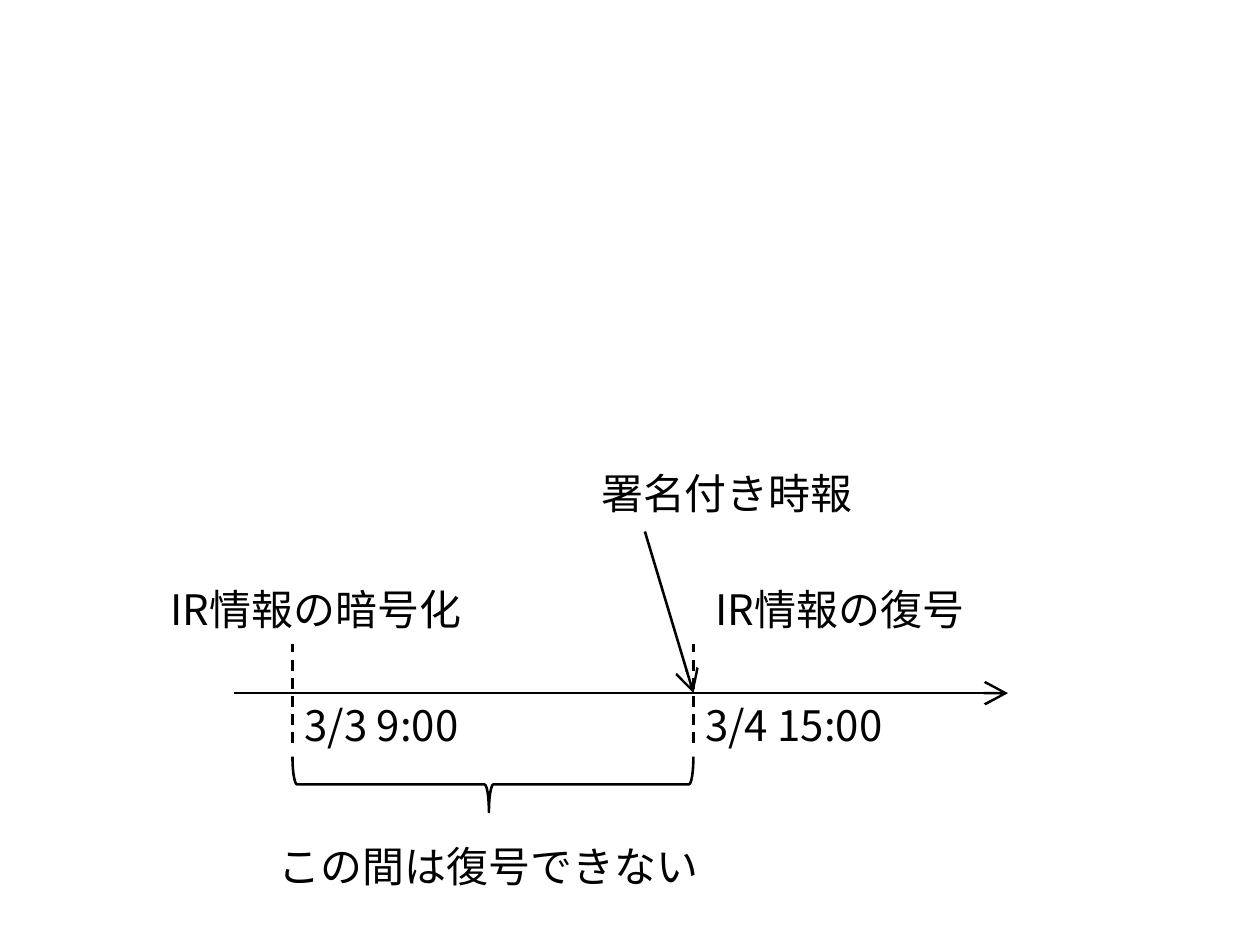
"""Draw a timeline from the encryption to the decryption of IR data."""
from typing import NamedTuple

from lxml.etree import SubElement as Sub
from pptx import Presentation
from pptx.dml.color import RGBColor as Rgb
from pptx.enum.dml import MSO_LINE as Dash
from pptx.enum.shapes import MSO_CONNECTOR as Link, MSO_SHAPE as Kind
from pptx.enum.text import MSO_AUTO_SIZE as Fit
from pptx.oxml.ns import qn
from pptx.util import Cm, Pt

COLORS = {"ink": "000000", "page": "FFFFFF"}
FACE = "Noto Sans CJK JP"
INK = Rgb.from_string(COLORS["ink"])
FRAME = {
    "word_wrap": True, "auto_size": Fit.SHAPE_TO_FIT_TEXT,
    "margin_left": Cm(0.12), "margin_right": Cm(0.12),
    "margin_top": Cm(0.07), "margin_bottom": Cm(0.07),
}
FONT = {"name": FACE, "size": Pt(12)}

START, END, AXIS = 2.95, 6.99, 6.99
HALF = 0.5
DEEP = 0.56
MID = 7.91


class Label(NamedTuple):
    text: str
    left: float
    top: float
    width: float


class Stroke(NamedTuple):
    x1: float
    y1: float
    x2: float
    y2: float
    dashed: bool = False


LABELS = [
    Label("3/3 9:00", START, AXIS, 2.29),
    Label("3/4 15:00", END, AXIS, 2.59),
    Label("IR情報の暗号化", 1.6, 5.82, 3.23),
    Label("IR情報の復号", 7.09, 5.82, 2.79),
    Label("この間は復号できない", 2.69, 8.41, 4.52),
    Label("署名付き時報", 5.94, 4.65, 2.82),
]
STROKES = [
    Stroke(2.36, AXIS, 10.16, AXIS),
    *(Stroke(x, AXIS + HALF, x, AXIS - HALF, True) for x in (START, END)),
    Stroke(6.5, 5.36, END, AXIS),
]


def style(item: object, values: dict) -> None:
    for key, value in values.items():
        setattr(item, key, value)


def write(shapes, label: Label) -> None:
    box = shapes.add_textbox(
        Cm(label.left), Cm(label.top), Cm(label.width), Cm(0.64))
    frame = box.text_frame
    style(frame, FRAME)
    run = frame.paragraphs[0].add_run()
    run.text = label.text
    style(run.font, FONT)
    run.font.color.rgb = INK
    Sub(run.font._element, qn("a:ea"), typeface=FACE)


def ink(line) -> None:
    line.color.rgb = INK
    line.width = Pt(0.75)


def draw(shapes, stroke: Stroke) -> None:
    ends = [Cm(value) for value in stroke[:4]]
    link = shapes.add_connector(Link.STRAIGHT, *ends)
    ink(link.line)
    if stroke.dashed:
        link.line.dash_style = Dash.DASH
    else:
        Sub(link.line._get_or_add_ln(), qn("a:tailEnd"), type="arrow")
    Sub(link._element.spPr, qn("a:effectLst"))


def span(shapes) -> None:
    long = END - START
    left = (START + END - DEEP) / 2
    brace = shapes.add_shape(
        Kind.LEFT_BRACE, Cm(left), Cm(MID - long / 2), Cm(DEEP), Cm(long))
    brace.rotation = 270
    brace.shadow.inherit = False
    brace.fill.background()
    ink(brace.line)
    for spot, value in enumerate((0.08, 0.49)):
        brace.adjustments[spot] = value


def main() -> None:
    deck = Presentation()
    style(deck, {"slide_width": Cm(12.7), "slide_height": Cm(9.53)})
    slide = deck.slides.add_slide(deck.slide_layouts[6])
    back = slide.background.fill
    back.solid()
    back.fore_color.rgb = Rgb.from_string(COLORS["page"])
    for stroke in STROKES:
        draw(slide.shapes, stroke)
    span(slide.shapes)
    for label in LABELS:
        write(slide.shapes, label)
    deck.save("out.pptx")


main()
